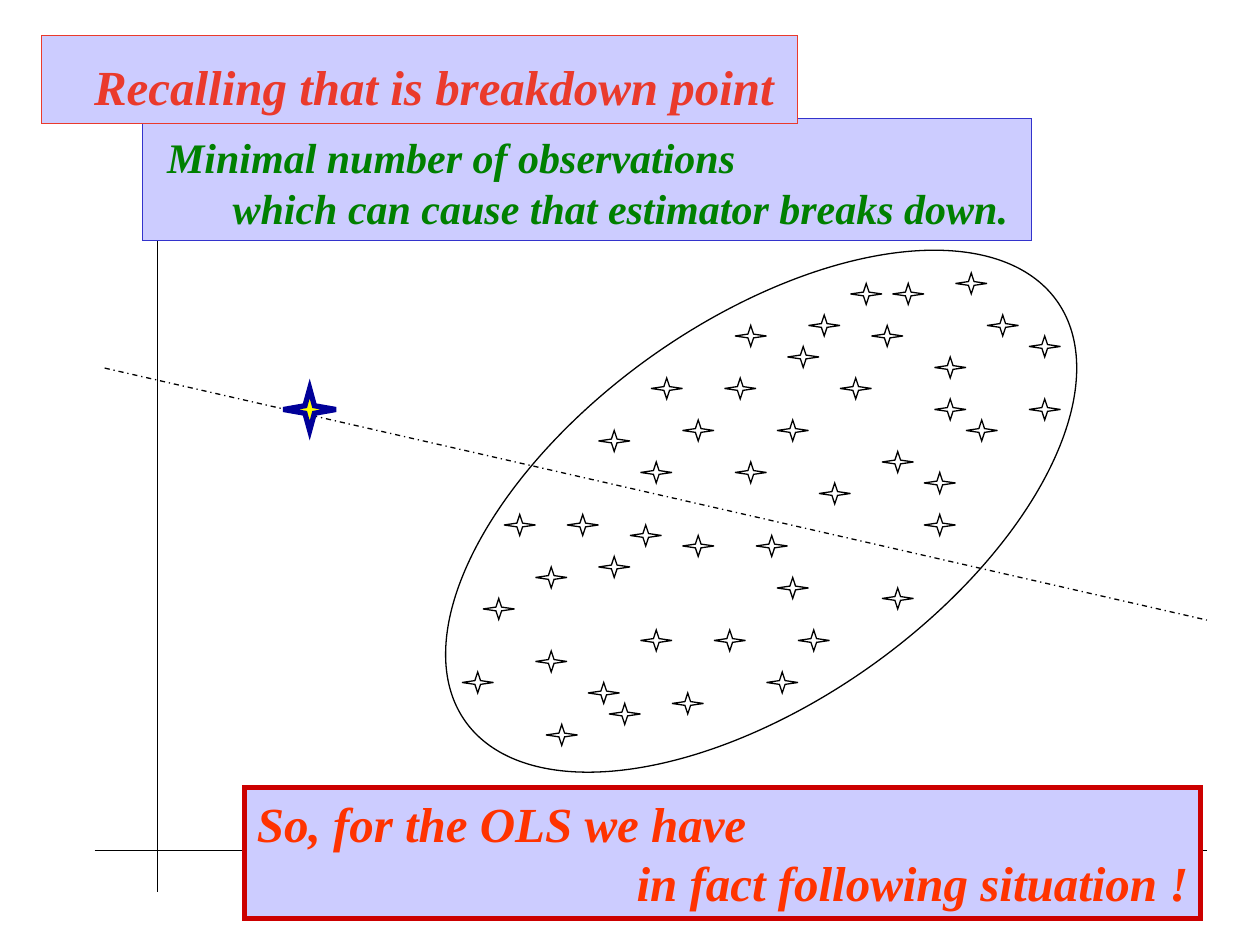
from lxml.etree import SubElement
from pptx import Presentation
from pptx.dml.color import RGBColor
from pptx.enum.dml import MSO_LINE
from pptx.enum.shapes import MSO_CONNECTOR, MSO_SHAPE
from pptx.enum.text import MSO_ANCHOR, MSO_AUTO_SIZE, PP_ALIGN
from pptx.oxml.ns import qn
from pptx.util import Cm, Pt

FONT = "Times New Roman"
COLORS = {
    "ink": "000000",
    "panel": "CCCCFF",
    "title": "EA3A2C",
    "definition": "008000",
    "definition_edge": "3333CC",
    "conclusion": "FF3300",
    "conclusion_edge": "CC0000",
    "outlier": "FFFF00",
    "outlier_edge": "000099",
}

TITLE = ["Recalling that is breakdown point"]
DEFINITION = [
    "Minimal number of observations",
    "which can cause that estimator breaks down.",
]
CONCLUSION = ["So, for the OLS we have", "in fact following situation !"]

TITLE_BOX = (0.84, 0.71, 15.24, 1.78)
DEFINITION_BOX = (2.87, 2.39, 17.93, 2.46)
CONCLUSION_BOX = (4.93, 15.88, 19.28, 2.64)

AXES = [(3.18, 4.65, 3.18, 17.98), (1.91, 17.15, 24.33, 17.15)]
FITTED_LINE = (2.11, 7.42, 24.33, 12.5)
CLOUD = (8.03, 6.48, 14.63, 7.65)
CLOUD_ROTATION = 324.6

GRID = 2.54 / 12
OBSERVATION_SIZE = (3, 2)
OBSERVATIONS = [
    (56, 65), (68, 60), (61, 60), (64, 66), (51, 62), (51, 54), (57, 53),
    (76, 60), (73, 64), (65, 51), (54, 49), (58, 67), (57, 41), (84, 56),
    (72, 51), (74, 55), (88, 45), (78, 46), (70, 44), (89, 34), (84, 43),
    (65, 40), (69, 36), (61, 44), (75, 33), (74, 40), (83, 31), (89, 38),
    (88, 49), (92, 40), (62, 36), (70, 31), (80, 36), (77, 30), (60, 50),
    (52, 69), (44, 64), (46, 57), (98, 38), (94, 30), (98, 32), (81, 27),
    (91, 26), (48, 49), (85, 27),
]
OUTLIER, OUTLIER_SIZE = (27, 37), (5, 4)
STAR = [
    (0, 0.5), (0.41, 0.41), (0.5, 0), (0.59, 0.41),
    (1, 0.5), (0.59, 0.59), (0.5, 1), (0.41, 0.59),
]


def rgb(name):
    return RGBColor.from_string(COLORS[name])


def outline(item, color, width=0.75):
    item.line.color.rgb = rgb(color)
    item.line.width = Pt(width)
    edge = item._element.spPr.find(qn("a:ln"))
    SubElement(edge, qn("a:miter"), lim="800000")


def fill(item, color):
    if color:
        item.fill.solid()
        item.fill.fore_color.rgb = rgb(color)
    else:
        item.fill.background()


def add_line(slide, ends):
    line = slide.shapes.add_connector(MSO_CONNECTOR.STRAIGHT, *map(Cm, ends))
    outline(line, "ink")
    SubElement(line._element.spPr, qn("a:effectLst"))
    return line


def add_star(slide, corner, size, edge="ink", width=0.75, color=None):
    points = [
        tuple(Cm(GRID * (start + part * span))
              for start, part, span in zip(corner, point, size))
        for point in STAR
    ]
    builder = slide.shapes.build_freeform(*points[0])
    builder.add_line_segments(points[1:], close=True)
    star = builder.convert_to_shape()
    star.shadow.inherit = False
    fill(star, color)
    outline(star, edge, width)


def add_panel(slide, box, edge, width=0.75):
    panel = slide.shapes.add_shape(MSO_SHAPE.RECTANGLE, *map(Cm, box))
    panel.shadow.inherit = False
    fill(panel, "panel")
    outline(panel, edge, width)
    return panel


def write_lines(holder, lines, alignments, size, color, insets):
    frame = holder.text_frame
    frame.word_wrap = True
    frame.auto_size = MSO_AUTO_SIZE.NONE
    frame.vertical_anchor = MSO_ANCHOR.TOP
    frame.margin_left, frame.margin_top, frame.margin_right = map(Cm, insets)
    frame.margin_bottom = 0
    frame.text = "\n".join(lines)
    for paragraph, alignment in zip(frame.paragraphs, alignments):
        paragraph.alignment = alignment
        paragraph.line_spacing = 1.0
        paragraph.space_before = Pt(0)
        font = paragraph.font
        font.name, font.size = FONT, Pt(size)
        font.bold = font.italic = True
        font.color.rgb = rgb(color)


def main():
    deck = Presentation()
    deck.slide_width, deck.slide_height = Cm(25.4), Cm(19.05)
    slide = deck.slides.add_slide(deck.slide_layouts[5])

    for axis in AXES:
        add_line(slide, axis)
    cloud = slide.shapes.add_shape(MSO_SHAPE.OVAL, *map(Cm, CLOUD))
    cloud.rotation = CLOUD_ROTATION
    cloud.shadow.inherit = False
    fill(cloud, None)
    outline(cloud, "ink")
    add_line(slide, FITTED_LINE).line.dash_style = MSO_LINE.DASH_DOT

    for corner in OBSERVATIONS:
        add_star(slide, corner, OBSERVATION_SIZE)
    add_star(slide, OUTLIER, OUTLIER_SIZE, "outlier_edge", 3, "outlier")

    staggered = [PP_ALIGN.LEFT, PP_ALIGN.RIGHT]
    conclusion = add_panel(slide, CONCLUSION_BOX, "conclusion_edge", 3)
    write_lines(conclusion, CONCLUSION, staggered, 28, "conclusion",
                (0.25, 0.12, 0.25))
    definition = add_panel(slide, DEFINITION_BOX, "definition_edge")
    write_lines(definition, DEFINITION, staggered, 24, "definition",
                (0.5, 0.27, 0.47))

    add_panel(slide, TITLE_BOX, "title")
    title = slide.shapes.title
    title.left, title.top, title.width, title.height = map(Cm, TITLE_BOX)
    write_lines(title, TITLE, [PP_ALIGN.RIGHT], 28, "title",
                (0.25, 0.43, 0.48))
    title._element.getparent().append(title._element)

    deck.save("out.pptx")


if __name__ == "__main__":
    main()
